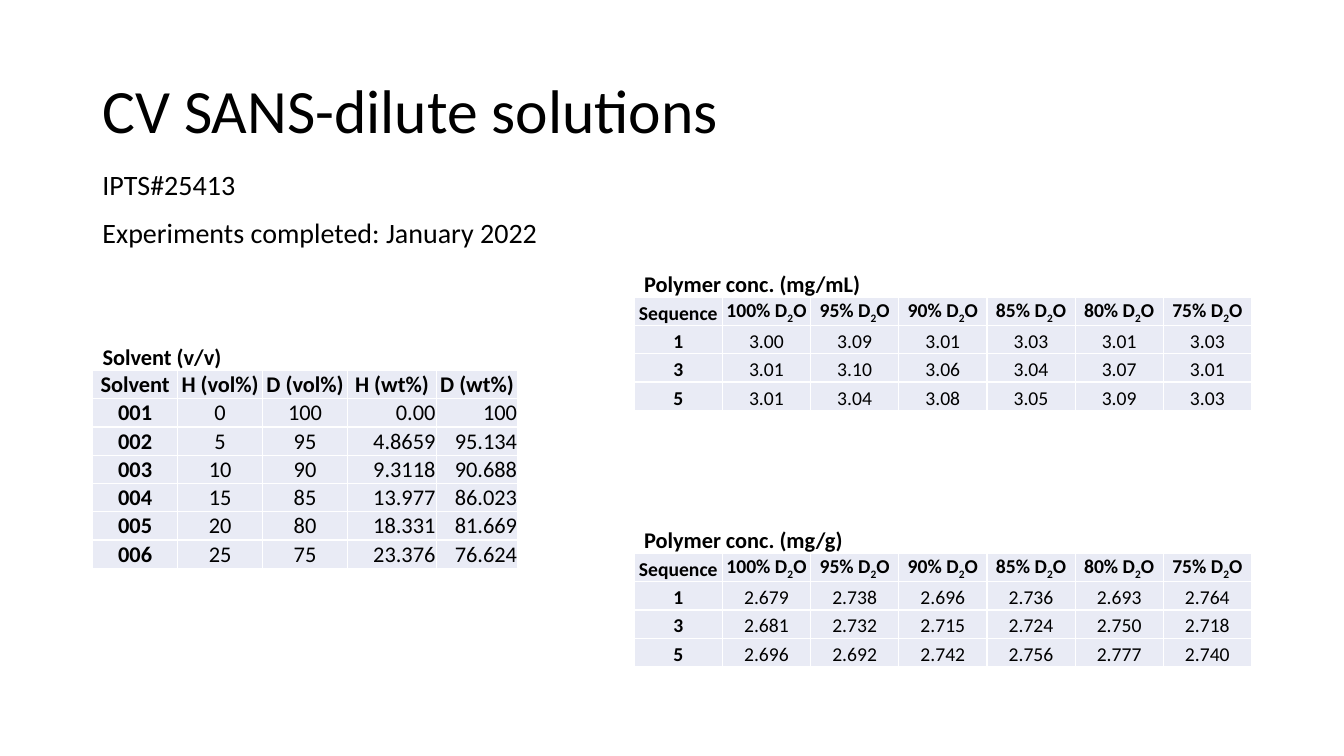
from lxml.etree import SubElement
from pptx import Presentation
from pptx.dml.color import RGBColor
from pptx.enum.text import MSO_ANCHOR, MSO_AUTO_SIZE, PP_ALIGN
from pptx.oxml.ns import qn
from pptx.util import Pt

COLORS = {"text": "000000", "cell": "E9EBF5", "border": "FFFFFF"}


def set_attrs(obj, values):
    for name, value in values.items():
        setattr(obj, name, value)


def add_text(p, text, size, bold=False):
    # Odd pieces between underscores are subscripts
    for i, piece in enumerate(text.split("_")):
        r = p.add_run()
        r.text = piece
        set_attrs(r.font, {"name": "Calibri", "size": Pt(size), "bold": bold})
        r.font.color.rgb = RGBColor.from_string(COLORS["text"])
        if i % 2:
            r._r.get_or_add_rPr().set("baseline", "-25000")


prs = Presentation()
set_attrs(prs, {"slide_width": Pt(960), "slide_height": Pt(540)})
s = prs.slides.add_slide(prs.slide_layouts[0])

# Title and subtitle
headings = [
    (s.shapes.title, (66, 28.8, 828, 104.4), MSO_ANCHOR.MIDDLE, 44, 0.9, 0,
     ["CV SANS-dilute solutions"]),
    (s.placeholders[1], (66, 116, 338, 67), MSO_ANCHOR.TOP, 20, 1, 10,
     ["IPTS#25413", "Experiments completed: January 2022"]),
]
for sp, box, anchor, size, spacing, before, lines in headings:
    set_attrs(sp, dict(zip(("left", "top", "width", "height"), map(Pt, box))))
    tf = sp.text_frame
    set_attrs(tf, {"vertical_anchor": anchor, "word_wrap": True,
                   "auto_size": MSO_AUTO_SIZE.NONE})
    for i, line in enumerate(lines):
        p = tf.add_paragraph() if i else tf.paragraphs[0]
        set_attrs(p, {"alignment": PP_ALIGN.LEFT, "line_spacing": spacing,
                      "space_before": Pt(before)})
        add_text(p, line, size)

# Table data
solvents = [
    ["Solvent", "H (vol%)", "D (vol%)", "H (wt%)", "D (wt%)"],
    ["001", "0", "100", "0.00", "100"],
    ["002", "5", "95", "4.8659", "95.134"],
    ["003", "10", "90", "9.3118", "90.688"],
    ["004", "15", "85", "13.977", "86.023"],
    ["005", "20", "80", "18.331", "81.669"],
    ["006", "25", "75", "23.376", "76.624"],
]
sequence_header = ["Sequence"] + [f"{share}% D_2_O" for share in range(100, 70, -5)]
conc_by_volume = [
    sequence_header,
    ["1", "3.00", "3.09", "3.01", "3.03", "3.01", "3.03"],
    ["3", "3.01", "3.10", "3.06", "3.04", "3.07", "3.01"],
    ["5", "3.01", "3.04", "3.08", "3.05", "3.09", "3.03"],
]
conc_by_mass = [
    sequence_header,
    ["1", "2.679", "2.738", "2.696", "2.736", "2.693", "2.764"],
    ["3", "2.681", "2.732", "2.715", "2.724", "2.750", "2.718"],
    ["5", "2.696", "2.692", "2.742", "2.756", "2.777", "2.740"],
]
solvent_widths = [60.7, 60.7, 60.7, 63.4, 58.3]
conc_widths = [63] * 7

# Captions and tables: caption, caption width, left, table top, size, widths, rows, right-aligned from
tables = [
    ("Solvent (v/v)", 148, 66.2, 264.6, 16, solvent_widths, solvents, 3),
    ("Polymer conc. (mg/mL)", 232, 453, 212.3, 14, conc_widths, conc_by_volume, 7),
    ("Polymer conc. (mg/g)", 232, 453, 395.3, 14, conc_widths, conc_by_mass, 7),
]
for caption, caption_width, left, top, size, widths, rows, right_from in tables:
    frame = s.shapes.add_table(len(rows), len(widths), Pt(left), Pt(top),
                               Pt(sum(widths)), Pt(20.2 * len(rows)))
    table = frame.table
    for column, width in zip(table.columns, widths):
        column.width = Pt(width)
    for i, row in enumerate(rows):
        table.rows[i].height = Pt(20.2)
        for j, text in enumerate(row):
            cell = table.cell(i, j)
            set_attrs(cell, {"margin_left": Pt(0.6), "margin_right": Pt(0.6),
                             "margin_top": Pt(0.6), "margin_bottom": Pt(0),
                             "vertical_anchor": MSO_ANCHOR.BOTTOM})
            for side in ("a:lnL", "a:lnR", "a:lnT", "a:lnB"):
                ln = SubElement(cell._tc.get_or_add_tcPr(), qn(side), w="12700")
                SubElement(SubElement(ln, qn("a:solidFill")), qn("a:srgbClr"),
                           val=COLORS["border"])
            cell.fill.solid()
            cell.fill.fore_color.rgb = RGBColor.from_string(COLORS["cell"])
            p = cell.text_frame.paragraphs[0]
            flush_right = i > 0 and j >= right_from
            p.alignment = PP_ALIGN.RIGHT if flush_right else PP_ALIGN.CENTER
            add_text(p, text, size, bold=i == 0 or j == 0)

    # Caption just above its table
    sp = s.shapes.add_textbox(Pt(left), Pt(top - 23), Pt(caption_width), Pt(26.6))
    sp.text_frame.word_wrap = True
    add_text(sp.text_frame.paragraphs[0], caption, 16, bold=True)

prs.save("out.pptx")
